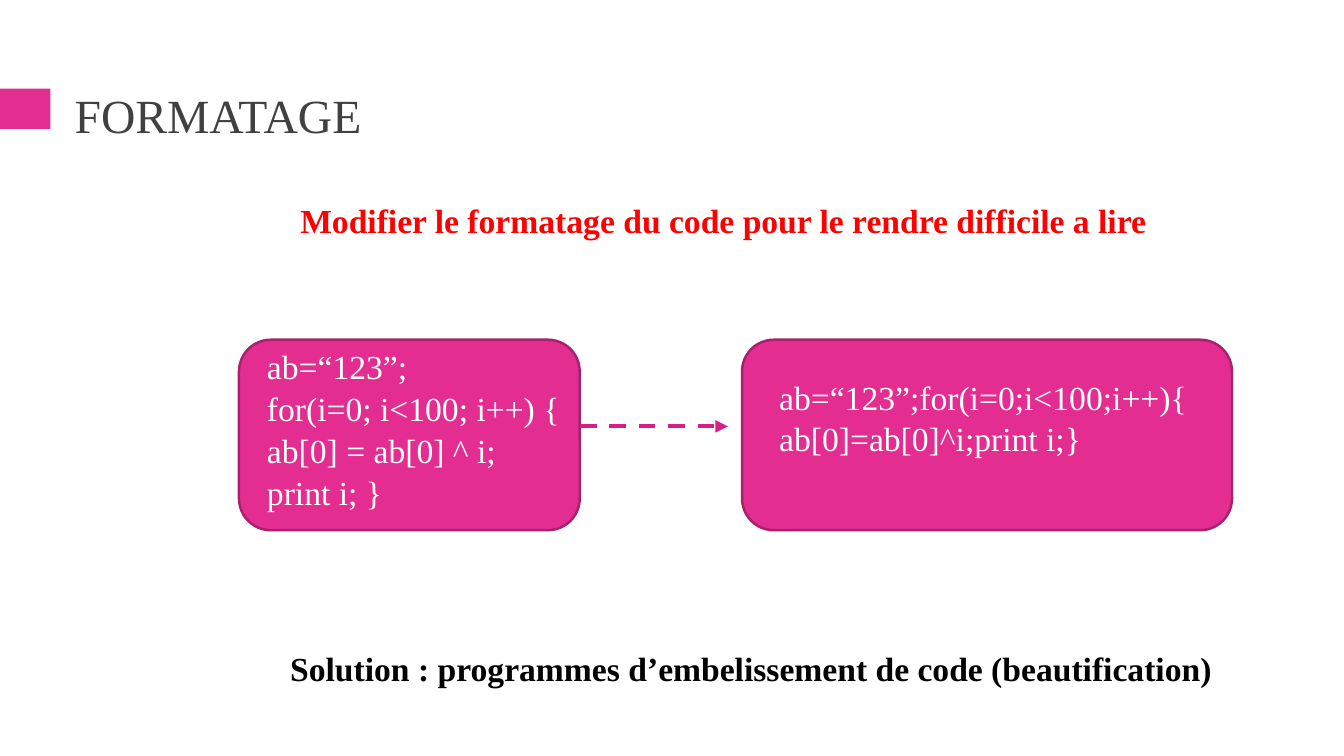
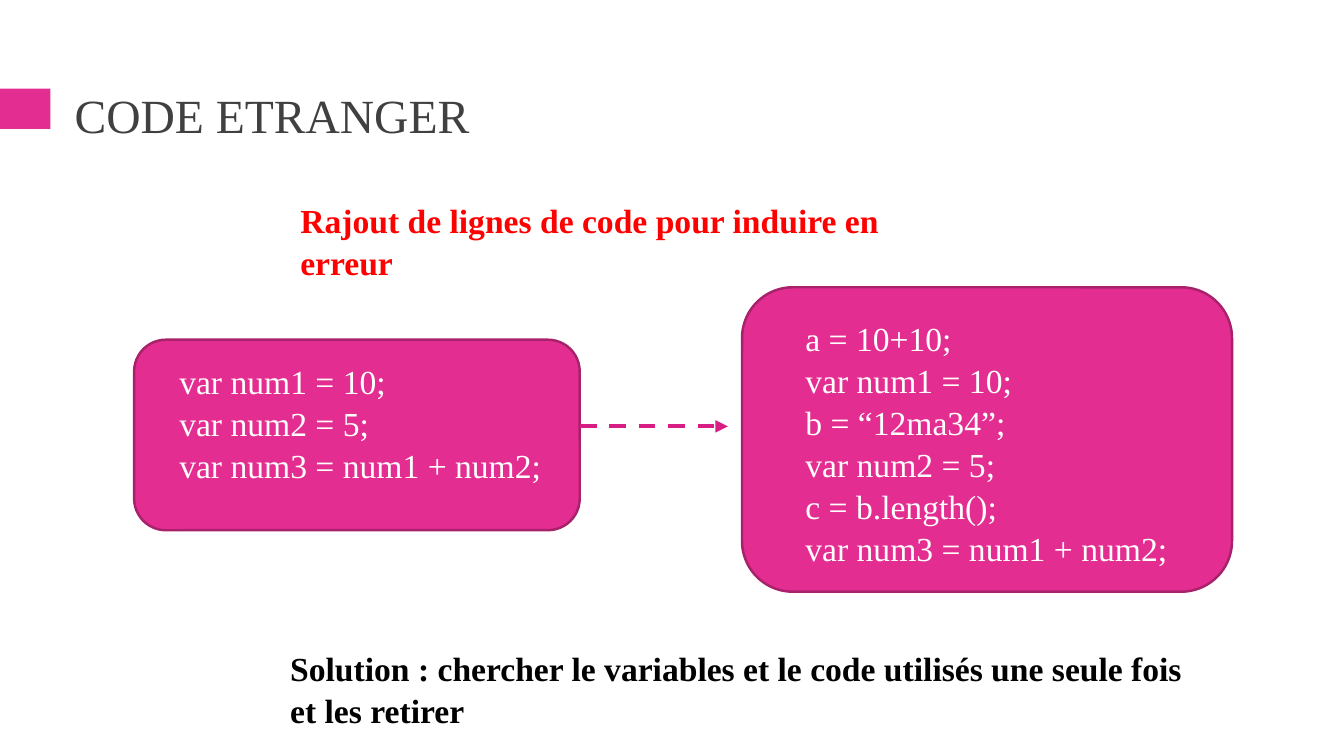
import pptx
import pptx.util
import pptx.dml.color
import pptx.enum.dml
import pptx.enum.shapes
import pptx.enum.text
import pptx.oxml

Inches, Pt = pptx.util.Inches, pptx.util.Pt
SHAPE = pptx.enum.shapes.MSO_SHAPE
ANCHOR = pptx.enum.text.MSO_ANCHOR
NS = 'xmlns:a="http://schemas.openxmlformats.org/drawingml/2006/main"'

# Shared look
FACE = "Times New Roman"
PINK, EDGE, ARROW = "E32D91", "A8216B", "D81D84"
TITLE = dict(name=FACE, size=Pt(34), color="404040")
CODE = dict(name=FACE, size=Pt(24), color="FFFFFF")
GOAL = dict(CODE, color="FF0000", bold=True)
FIX = dict(CODE, color="000000", bold=True)

# Content: text blocks are (left, top, width, lines), boxes (left, top, width, height)
SLIDES = [
    dict(
        title="FORMATAGE",
        goal=(2.88, 1.92, 8.7, ["Modifier le formatage du code pour le rendre difficile a lire"]),
        boxes=[(7.36, 3.37, 4.86, 1.89), (2.37, 3.37, 3.38, 1.89)],
        codes=[
            (2.55, 3.37, 3.2, ["ab=“123”;", "for(i=0; i<100; i++) {",
                               "ab[0] = ab[0] ^ i;", "print i; }"]),
            (7.63, 3.67, 4.4, ["ab=“123”;for(i=0;i<100;i++){", "ab[0]=ab[0]^i;print i;}"]),
        ],
        fix=(2.78, 6.36, 9.5, ["Solution : programmes d’embelissement de code (beautification)"]),
    ),
    dict(
        title="CODE ETRANGER",
        goal=(2.88, 1.92, 6.8, ["Rajout de lignes de code pour induire en erreur"]),
        boxes=[(7.36, 2.85, 4.86, 3.02), (1.33, 3.37, 4.42, 1.89)],
        codes=[
            (1.68, 3.52, 3.9, ["var num1 = 10;", "var num2 = 5;", "var num3 = num1 + num2;"]),
            (7.89, 3.09, 3.9, ["a = 10+10;", "var num1 = 10;", "b = “12ma34”;",
                               "var num2 = 5;", "c = b.length();", "var num3 = num1 + num2;"]),
        ],
        fix=(2.78, 6.36, 9.2, ["Solution : chercher le variables et le code utilisés une seule fois",
                               "et les retirer"]),
    ),
]


def rgb(code):
    return pptx.dml.color.RGBColor.from_string(code)


def write(frame, lines, style, pitch, anchor):
    """Fill a text frame, one paragraph a line."""
    frame.word_wrap = True
    frame.vertical_anchor = anchor
    for i, line in enumerate(lines):
        para = frame.add_paragraph() if i else frame.paragraphs[0]
        para.alignment = pptx.enum.text.PP_ALIGN.LEFT
        para.line_spacing = pitch
        run = para.add_run()
        run.text = line
        for key, val in style.items():
            if key == "color":
                run.font.color.rgb = rgb(val)
            else:
                setattr(run.font, key, val)


def block(slide, left, top, width, lines, style):
    """Place a text box as tall as its lines."""
    tall = 0.1 + 0.4 * len(lines)
    area = slide.shapes.add_textbox(*map(Inches, (left, top, width, tall)))
    write(area.text_frame, lines, style, 1.04, ANCHOR.TOP)


def panel(slide, kind, area, edge=None):
    """Draw a pink shape, with or without an edge."""
    shape = slide.shapes.add_shape(kind, *map(Inches, area))
    shape.shadow.inherit = False
    shape.fill.solid()
    shape.fill.fore_color.rgb = rgb(PINK)
    if edge:
        shape.line.color.rgb = rgb(edge)
        shape.line.width = Pt(1.75)
    else:
        shape.line.fill.background()
    return shape


def arrow(slide, start, end, level):
    """Draw a dashed arrow from left to right."""
    link = slide.shapes.add_connector(
        pptx.enum.shapes.MSO_CONNECTOR.STRAIGHT,
        *map(Inches, (start, level, end, level)))
    link.line.color.rgb = rgb(ARROW)
    link.line.width = Pt(3)
    link.line.dash_style = pptx.enum.dml.MSO_LINE.DASH
    line = link.line._get_or_add_ln()
    line.append(pptx.oxml.parse_xml(f'<a:tailEnd {NS} type="triangle"/>'))
    line.addnext(pptx.oxml.parse_xml(f"<a:effectLst {NS}/>"))


def place(shape, left, top, width, height):
    spots = dict(left=left, top=top, width=width, height=height)
    for key, val in spots.items():
        setattr(shape, key, Inches(val))


def build(deck, layout, data):
    slide = deck.slides.add_slide(layout)
    write(slide.shapes.title.text_frame, [data["title"]], TITLE, 0.9, ANCHOR.MIDDLE)
    for area in data["boxes"]:
        panel(slide, SHAPE.ROUNDED_RECTANGLE, area, EDGE)
    block(slide, *data["goal"], GOAL)
    for code in data["codes"]:
        block(slide, *code, CODE)
    arrow(slide, 5.75, 7.22, 4.23)
    block(slide, *data["fix"], FIX)
    return slide


def main():
    deck = pptx.Presentation()
    deck.slide_width, deck.slide_height = Inches(13.33), Inches(7.5)
    layout = deck.slide_layouts.get_by_name("Title Only")
    place(layout.placeholders[0], 0.64, 0.77, 12.06, 0.81)
    slides = [build(deck, layout, data) for data in SLIDES]
    # The band is drawn once, then moved to the shared layout
    band = panel(slides[0], SHAPE.RECTANGLE, (0, 0.88, 0.5, 0.4))
    layout.shapes.element.insert(2, band.element)
    deck.save("out.pptx")


if __name__ == "__main__":
    main()
